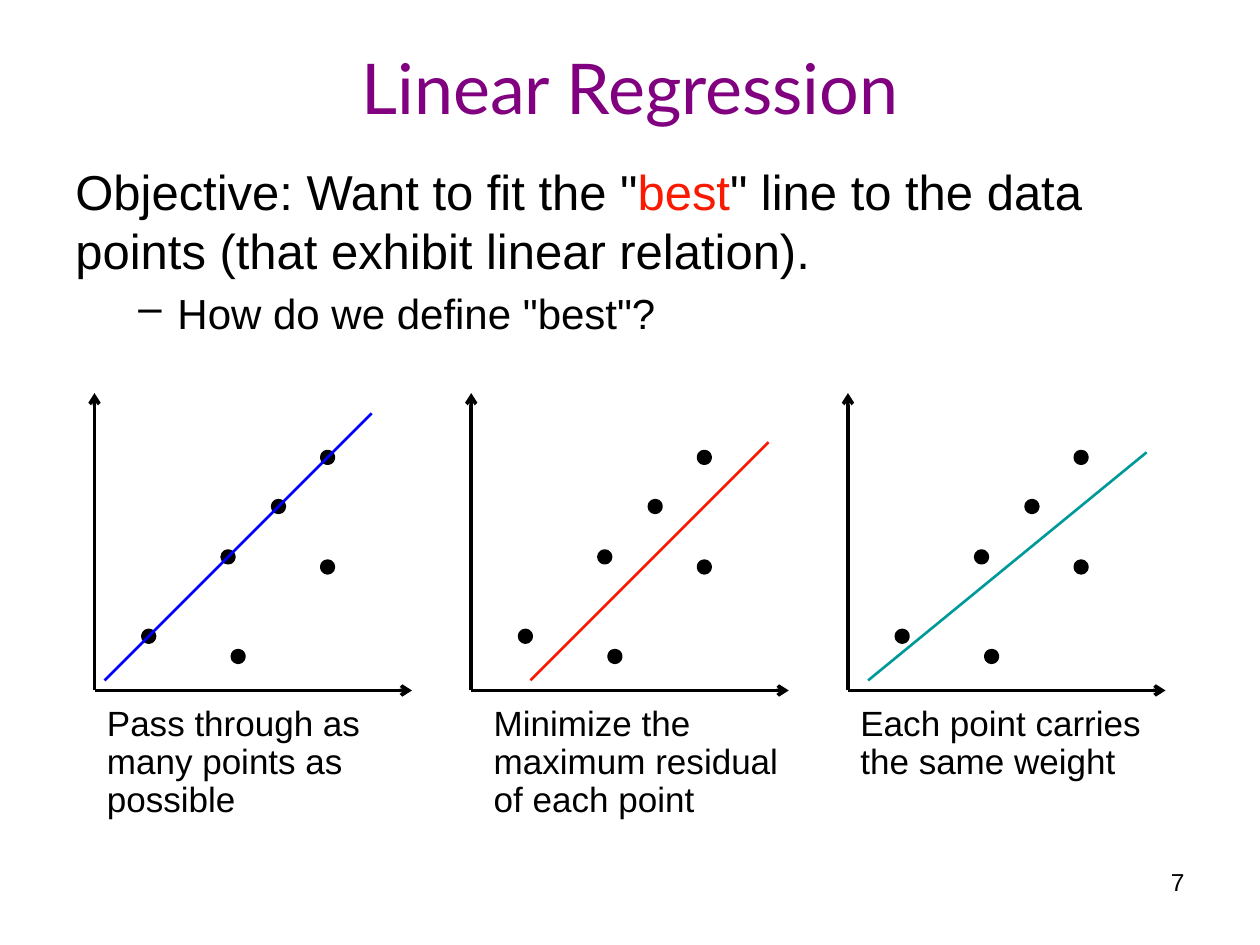
import pptx
import pptx.dml.color
import pptx.enum.shapes
import pptx.enum.text
import pptx.oxml
import pptx.oxml.ns
import pptx.util
from pptx.dml.color import RGBColor
from pptx.util import Inches

BLACK = RGBColor(0, 0, 0)
PURPLE = RGBColor(0x80, 0, 0x80)
RED = RGBColor(0xFA, 0x1A, 0x02)
BLUE = RGBColor(0, 0, 0xFF)
TEAL = RGBColor(0, 0x99, 0x99)

ALIGN = pptx.enum.text.PP_ALIGN
ORIGIN_Y = 5.48
PLOT_LEFT, PLOT_STEP = 0.75, 2.99
AXIS_WIDTH, AXIS_HEIGHT = 2.52, 2.36
DOT_SIZE = 0.08

# Dot centres, measured right of and up from the plot origin.
POINTS = [(0.43, 0.43), (1.06, 1.06), (1.46, 1.46), (1.85, 1.85), (1.85, 0.98), (1.14, 0.27)]

# Colour, fitted line, caption, caption left and width.
PLOTS = [
    (BLUE, (0.83, 5.4, 2.95, 3.28), "Pass through as many points as possible", 0.75, 2.28),
    (RED, (4.21, 5.4, 6.1, 3.51), "Minimize the maximum residual of each point", 3.82, 2.52),
    (TEAL, (6.89, 5.4, 9.1, 3.59), "Each point carries the same weight", 6.73, 2.52),
]


class SlideBuilder:
    """Holds the body font and the slide that is being drawn."""

    def __init__(self, slide, font="Arial"):
        self.slide = slide
        self.font = font

    def format(self, paragraph, size, color=BLACK, font=None):
        for run in paragraph.runs:
            run.font.size = pptx.util.Pt(size)
            run.font.name = font or self.font
            run.font.color.rgb = color

    def text(self, left, top, width, height, text, size, color=BLACK, font=None,
             align=ALIGN.LEFT, spacing=None):
        """Add a wrapped text box and return its text frame."""
        box = self.slide.shapes.add_textbox(
            Inches(left), Inches(top), Inches(width), Inches(height))
        frame = box.text_frame
        frame.word_wrap = True
        frame.text = text
        paragraph = frame.paragraphs[0]
        paragraph.alignment = align
        paragraph.line_spacing = spacing
        self.format(paragraph, size, color, font)
        return frame

    def dash_item(self, frame, text, size):
        paragraph = frame.add_paragraph()
        paragraph.text = text
        properties = paragraph._p.get_or_add_pPr()
        properties.set("marL", str(Inches(0.81)))
        properties.set("indent", str(Inches(-0.31)))
        bullet = pptx.oxml.parse_xml(
            f'<a:buChar {pptx.oxml.ns.nsdecls("a")} char="–"/>')
        properties.append(bullet)
        paragraph.space_before = pptx.util.Pt(size * 0.2)
        self.format(paragraph, size)

    def line(self, x1, y1, x2, y2, color, width, arrow=False):
        connector = self.slide.shapes.add_connector(
            pptx.enum.shapes.MSO_CONNECTOR.STRAIGHT,
            Inches(x1), Inches(y1), Inches(x2), Inches(y2))
        connector.line.color.rgb = color
        connector.line.width = pptx.util.Pt(width)
        namespace = pptx.oxml.ns.nsdecls("a")
        if arrow:
            connector.line._get_or_add_ln().append(
                pptx.oxml.parse_xml(f'<a:tailEnd {namespace} type="arrow"/>'))
        connector._element.spPr.append(pptx.oxml.parse_xml(f"<a:effectLst {namespace}/>"))

    def dot(self, x, y):
        """Add a black dot centred on x, y."""
        shape = self.slide.shapes.add_shape(
            pptx.enum.shapes.MSO_SHAPE.OVAL,
            Inches(x - DOT_SIZE / 2), Inches(y - DOT_SIZE / 2),
            Inches(DOT_SIZE), Inches(DOT_SIZE))
        shape.shadow.inherit = False
        shape.fill.solid()
        shape.fill.fore_color.rgb = BLACK
        shape.line.color.rgb = BLACK
        shape.line.width = pptx.util.Pt(3)

    def plot(self, left, color, fitted_line):
        self.line(left, ORIGIN_Y, left, ORIGIN_Y - AXIS_HEIGHT, BLACK, 2, arrow=True)
        self.line(left, ORIGIN_Y, left + AXIS_WIDTH, ORIGIN_Y, BLACK, 2, arrow=True)
        for x, y in POINTS:
            self.dot(left + x, ORIGIN_Y - y)
        self.line(*fitted_line, color, 1.5)


def main():
    presentation = pptx.Presentation()
    presentation.slide_width = Inches(10)
    presentation.slide_height = Inches(7.5)
    builder = SlideBuilder(presentation.slides.add_slide(presentation.slide_layouts[6]))

    title = builder.text(0.5, 0.3, 9, 0.77, "Linear Regression", 40, PURPLE, "Lato", ALIGN.CENTER)
    title.vertical_anchor = pptx.enum.text.MSO_ANCHOR.MIDDLE

    body = builder.text(0.5, 1.23, 9.15, 1.65, 'Objective: Want to fit the "', 28)
    objective = body.paragraphs[0]
    for part in ("best", '" line to the data points (that exhibit linear relation).'):
        objective.add_run().text = part
    builder.format(objective, 28)
    objective.runs[1].font.color.rgb = RED
    builder.dash_item(body, 'How do we define "best"?', 24)

    for index, (color, fitted_line, caption, left, width) in enumerate(PLOTS):
        builder.plot(PLOT_LEFT + index * PLOT_STEP, color, fitted_line)
        builder.text(left, 5.56, width, 1, caption, 20, spacing=0.9)

    builder.text(7.17, 6.83, 2.33, 0.52, "7", 14, align=ALIGN.RIGHT)
    presentation.save("out.pptx")


if __name__ == "__main__":
    main()
